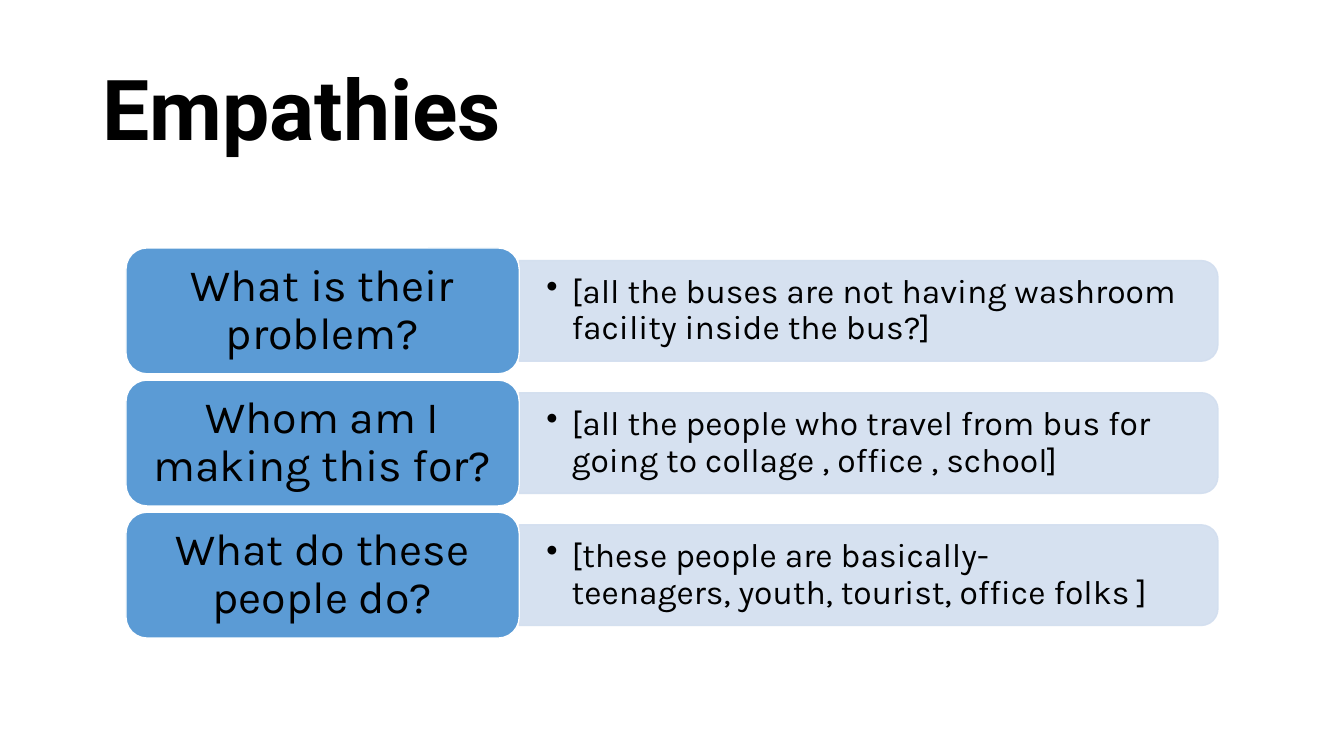
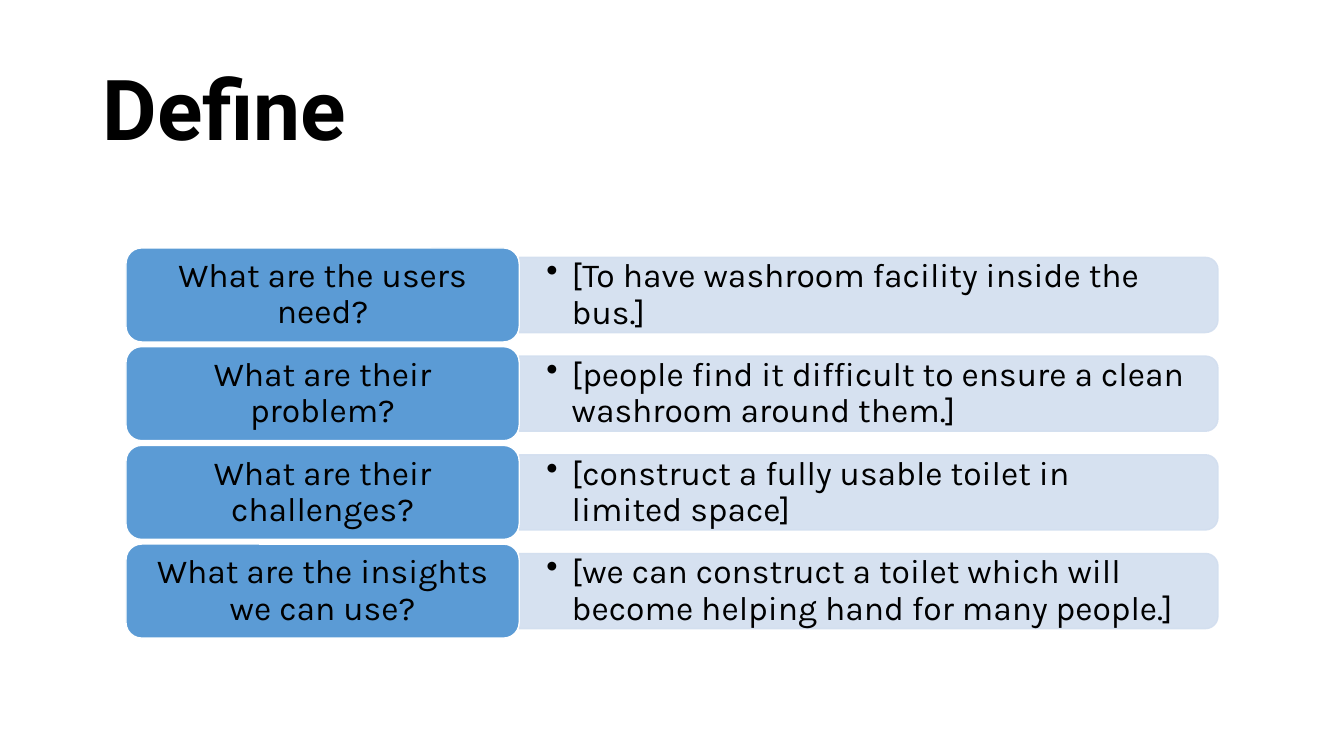
"""Build two question-and-answer slides of a design thinking deck."""
import pptx
import pptx.dml.color
import pptx.enum.shapes
import pptx.enum.text
import pptx.oxml
import pptx.oxml.ns
import pptx.util
from pptx.util import Inches

PRESET = pptx.enum.shapes.MSO_SHAPE
ALIGN = pptx.enum.text.PP_ALIGN

SLIDES = [
    {
        "title": "Empathies",
        "question_size": 32,
        "rows": [
            ("What is their problem?",
             "[all the buses are not having washroom facility inside the bus?]"),
            ("Whom am I making this for?",
             "[all the people who travel from bus for going to collage , office , school]"),
            ("What do these people do?",
             "[these people are basically-\vteenagers, youth, tourist, office folks ]"),
        ],
    },
    {
        "title": "Define",
        "question_size": 24,
        "rows": [
            ("What are the users need?",
             "[To have washroom facility inside the bus.]"),
            ("What are their problem?",
             "[people find it difficult to ensure a clean washroom around them.]"),
            ("What are their challenges?",
             "[construct a fully usable toilet in limited space]"),
            ("What are the insights we can use?",
             "[we can construct a toilet which will become helping hand for many people.]"),
        ],
    },
]

BLACK, WHITE, BLUE, PALE = "000000", "FFFFFF", "5B9BD5", "D2DEEF"
TITLE_FONT, BODY_FONT = "Roboto", "Karla"
ANSWER_SIZE = 24
LIST_LEFT, LIST_TOP, LIST_HEIGHT = 1.25, 2.46, 3.87
QUESTION_WIDTH, ANSWER_WIDTH = 3.9, 6.93
GAP_SHARE, ANSWER_SHARE = 0.05, 0.8
BULLET_INDENT = 0.25


def rgb(code):
    return pptx.dml.color.RGBColor.from_string(code)


def write(shape, text, font, size, align=ALIGN.LEFT, bold=False, insets=(0.1, 0.05)):
    frame = shape.text_frame
    frame.word_wrap = True
    frame.vertical_anchor = pptx.enum.text.MSO_ANCHOR.MIDDLE
    frame.margin_left = frame.margin_right = Inches(insets[0])
    frame.margin_top = frame.margin_bottom = Inches(insets[1])
    paragraph = frame.paragraphs[0]
    paragraph.text = text
    paragraph.alignment = align
    paragraph.line_spacing = 0.9
    paragraph.font.name = font
    paragraph.font.size = pptx.util.Pt(size)
    paragraph.font.bold = bold
    paragraph.font.color.rgb = rgb(BLACK)
    return paragraph


def add_panel(slide, preset, left, top, width, height, fill, line):
    panel = slide.shapes.add_shape(
        preset, Inches(left), Inches(top), Inches(width), Inches(height))
    panel.shadow.inherit = False
    panel.fill.solid()
    panel.fill.fore_color.rgb = rgb(fill)
    panel.line.color.rgb = rgb(line)
    panel.line.width = pptx.util.Pt(1)
    return panel


def add_textbox(slide, left, top, width, height):
    return slide.shapes.add_textbox(
        Inches(left), Inches(top), Inches(width), Inches(height))


def make_translucent(panel, percent):
    for color in panel._element.spPr.iter(pptx.oxml.ns.qn("a:srgbClr")):
        alpha = pptx.oxml.parse_xml(
            f'<a:alpha {pptx.oxml.ns.nsdecls("a")} val="{percent * 1000}"/>')
        color.append(alpha)


def add_bullet(paragraph):
    properties = paragraph._p.get_or_add_pPr()
    properties.set("marL", str(Inches(BULLET_INDENT)))
    properties.set("indent", str(-Inches(BULLET_INDENT)))
    properties.append(pptx.oxml.parse_xml(
        f'<a:buChar {pptx.oxml.ns.nsdecls("a")} char="•"/>'))
    defaults = properties.find(pptx.oxml.ns.qn("a:defRPr"))
    if defaults is not None:
        properties.append(defaults)


def add_answer(slide, text, left, middle, height):
    bar_left = left + (ANSWER_WIDTH - height) / 2
    bar = add_panel(slide, PRESET.ROUND_2_SAME_RECTANGLE, bar_left,
                    middle - ANSWER_WIDTH / 2, height, ANSWER_WIDTH, PALE, PALE)
    bar.rotation = 90
    make_translucent(bar, 90)
    box = add_textbox(slide, left, middle - height / 2, ANSWER_WIDTH - 0.04, height)
    add_bullet(write(box, text, BODY_FONT, ANSWER_SIZE, insets=(0.27, 0.14)))


def add_question(slide, text, size, top, height):
    card = add_panel(slide, PRESET.ROUNDED_RECTANGLE, LIST_LEFT, top,
                     QUESTION_WIDTH, height, BLUE, WHITE)
    write(card, text, BODY_FONT, size, ALIGN.CENTER, insets=(0.16, 0.1))


def build_slide(deck, content):
    slide = deck.slides.add_slide(deck.slide_layouts[6])
    title = add_textbox(slide, 0.92, 0.4, 11.5, 1.45)
    write(title, content["title"], TITLE_FONT, 60, bold=True)
    count = len(content["rows"])
    height = LIST_HEIGHT / (count + GAP_SHARE * (count - 1))
    for index, (question, answer) in enumerate(content["rows"]):
        top = LIST_TOP + index * height * (1 + GAP_SHARE)
        add_answer(slide, answer, LIST_LEFT + QUESTION_WIDTH,
                   top + height / 2, height * ANSWER_SHARE)
        add_question(slide, question, content["question_size"], top, height)


def main():
    deck = pptx.Presentation()
    deck.slide_width, deck.slide_height = Inches(13.33), Inches(7.5)
    for content in SLIDES:
        build_slide(deck, content)
    deck.save("out.pptx")


if __name__ == "__main__":
    main()
